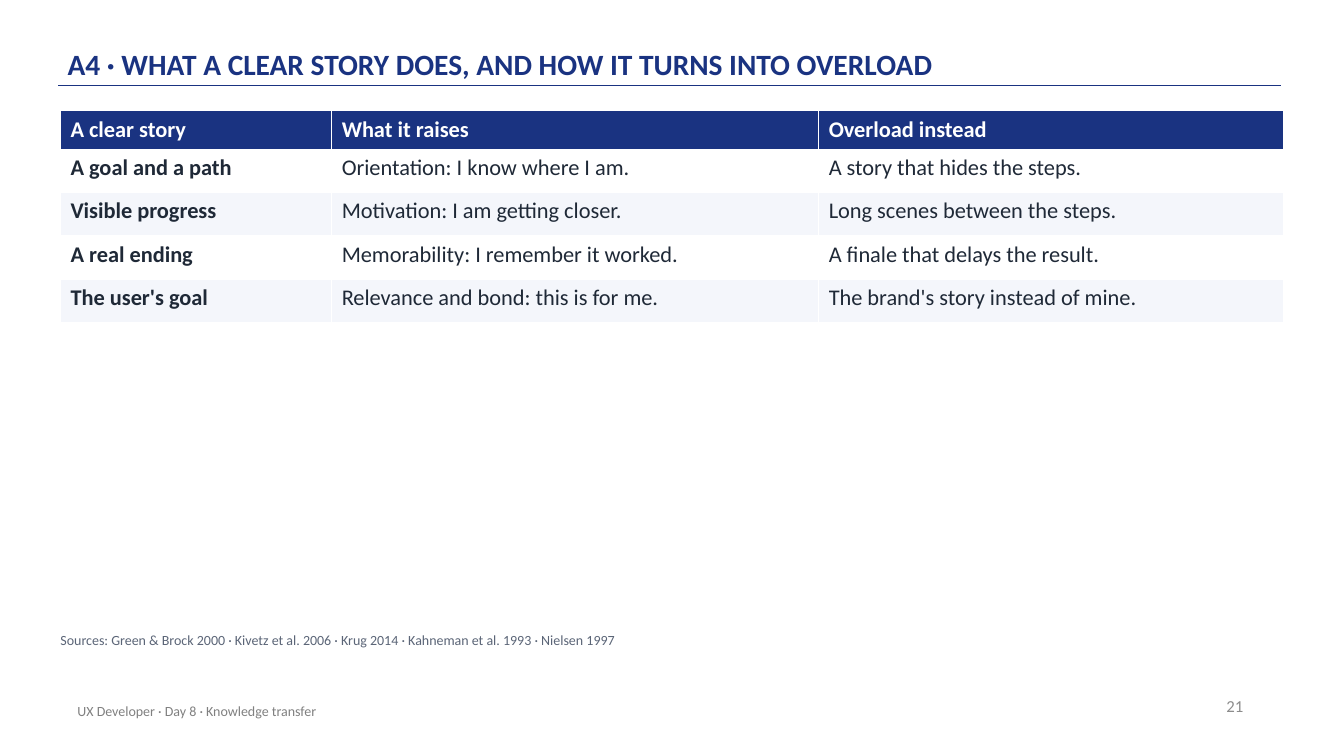
from lxml import etree
from pptx import Presentation
from pptx.dml.color import RGBColor
from pptx.enum.shapes import MSO_CONNECTOR
from pptx.enum.text import MSO_ANCHOR, PP_ALIGN
from pptx.oxml.ns import qn
from pptx.util import Inches, Pt

STRAIGHT = MSO_CONNECTOR.STRAIGHT
TOP, MIDDLE, BOTTOM = MSO_ANCHOR.TOP, MSO_ANCHOR.MIDDLE, MSO_ANCHOR.BOTTOM
LEFT, RIGHT = PP_ALIGN.LEFT, PP_ALIGN.RIGHT
TITLE_ONLY = 5

FONT = "Calibri"
NAVY, INK, SLATE, WHITE, BAND = "1A3381", "1F2937", "5B6577", "FFFFFF", "F4F6FB"

COLUMNS = [2.69, 4.83, 4.61]
HEADER_HEIGHT, ROW_HEIGHT = 0.38, 0.43
ROWS = [
    ("A clear story", "What it raises", "Overload instead"),
    ("A goal and a path", "Orientation: I know where I am.",
     "A story that hides the steps."),
    ("Visible progress", "Motivation: I am getting closer.",
     "Long scenes between the steps."),
    ("A real ending", "Memorability: I remember it worked.",
     "A finale that delays the result."),
    ("The user's goal", "Relevance and bond: this is for me.",
     "The brand's story instead of mine."),
]


def rgb(hex_color):
    return RGBColor.from_string(hex_color)


def write(tf, text, size, color, bold=False, align=LEFT):
    p = tf.paragraphs[0]
    p.alignment = align
    r = p.add_run()
    r.text = text
    font_format = {"name": FONT, "size": Pt(size), "bold": bold}
    for name, value in font_format.items():
        setattr(r.font, name, value)
    r.font.color.rgb = rgb(color)
    return p


def set_frame(tf, anchor, side=0.1, edge=0.05):
    frame_format = {
        "word_wrap": True, "vertical_anchor": anchor,
        "margin_left": Inches(side), "margin_right": Inches(side),
        "margin_top": Inches(edge), "margin_bottom": Inches(edge),
    }
    for name, value in frame_format.items():
        setattr(tf, name, value)


def add_text(s, box, text, size, color, anchor=MIDDLE, side=0.1, edge=0.05,
             align=LEFT):
    tf = s.shapes.add_textbox(*map(Inches, box)).text_frame
    set_frame(tf, anchor, side, edge)
    return write(tf, text, size, color, align=align)


def add_heading(s, box, text):
    # Title with the rule just below it
    left, top, width, height = box
    title = s.shapes.title
    place = dict(zip(("left", "top", "width", "height"), map(Inches, box)))
    for name, value in place.items():
        setattr(title, name, value)
    set_frame(title.text_frame, BOTTOM, side=0, edge=0.03)
    write(title.text_frame, text, 21, NAVY, bold=True).line_spacing = 0.9

    rule_y = Inches(top + height + 0.01)
    rule = s.shapes.add_connector(
        STRAIGHT, Inches(left - 0.09), rule_y, Inches(left + 12.04), rule_y)
    rule.line.color.rgb = rgb(NAVY)
    rule.line.width = Pt(1)
    etree.SubElement(rule._element.spPr, qn("a:effectLst"))


def add_story_table(s, left, top):
    height = HEADER_HEIGHT + ROW_HEIGHT * (len(ROWS) - 1)
    table = s.shapes.add_table(
        len(ROWS), len(COLUMNS), Inches(left), Inches(top),
        Inches(sum(COLUMNS)), Inches(height)).table
    for column, width in zip(table.columns, COLUMNS):
        column.width = Inches(width)
    for i, texts in enumerate(ROWS):
        header = i == 0
        table.rows[i].height = Inches(HEADER_HEIGHT if header else ROW_HEIGHT)
        fill = NAVY if header else (WHITE if i % 2 else BAND)
        for j, text in enumerate(texts):
            cell = table.cell(i, j)
            cell.fill.solid()
            cell.fill.fore_color.rgb = rgb(fill)
            write(cell.text_frame, text, 16, WHITE if header else INK,
                  bold=header or j == 0)


def add_footer(s, left, top, right):
    # Course line on the left, page number on the right
    add_text(s, (left, top + 0.05, 6.7, 0.4),
             "UX Developer · Day 8 · Knowledge transfer", 10, "808080")
    add_text(s, (right - 3, top, 3, 0.4), "21", 12, "8C8C8C", align=RIGHT)


def main():
    prs = Presentation()
    prs.slide_width, prs.slide_height = Inches(13.33), Inches(7.5)
    s = prs.slides.add_slide(prs.slide_layouts[TITLE_ONLY])

    add_heading(s, (0.67, 0.12, 11, 0.72),
                "A4 · WHAT A CLEAR STORY DOES, AND HOW IT TURNS INTO OVERLOAD")
    add_story_table(s, 0.6, 1.1)
    sources = add_text(
        s, (0.6, 6.27, 12.1, 0.3),
        "Sources: Green & Brock 2000 · Kivetz et al. 2006 · Krug 2014 · "
        "Kahneman et al. 1993 · Nielsen 1997",
        10, SLATE, anchor=TOP, side=0, edge=0)
    sources.space_after = Pt(6)
    add_footer(s, 0.67, 6.8, 12.43)
    prs.save("out.pptx")


if __name__ == "__main__":
    main()
